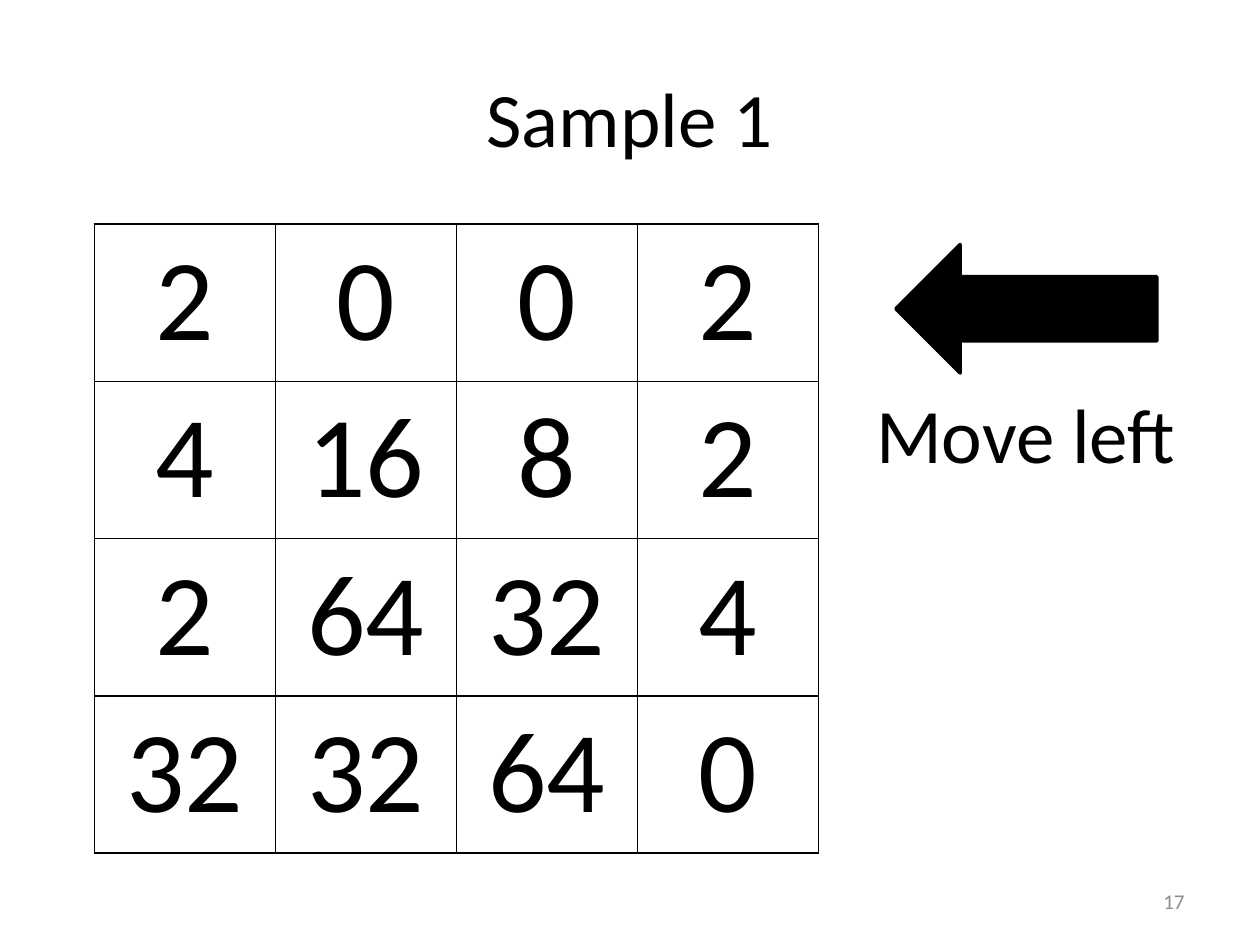
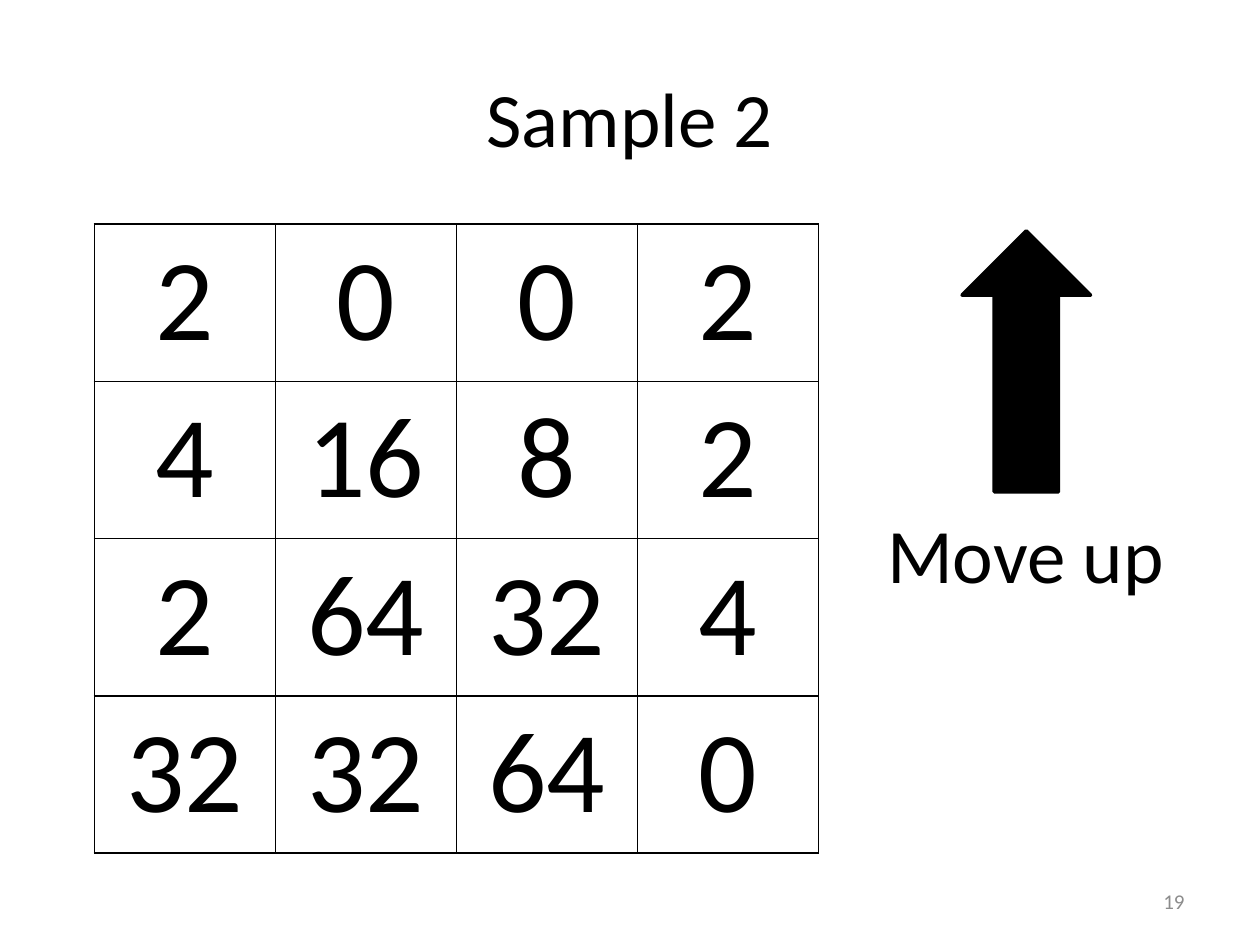
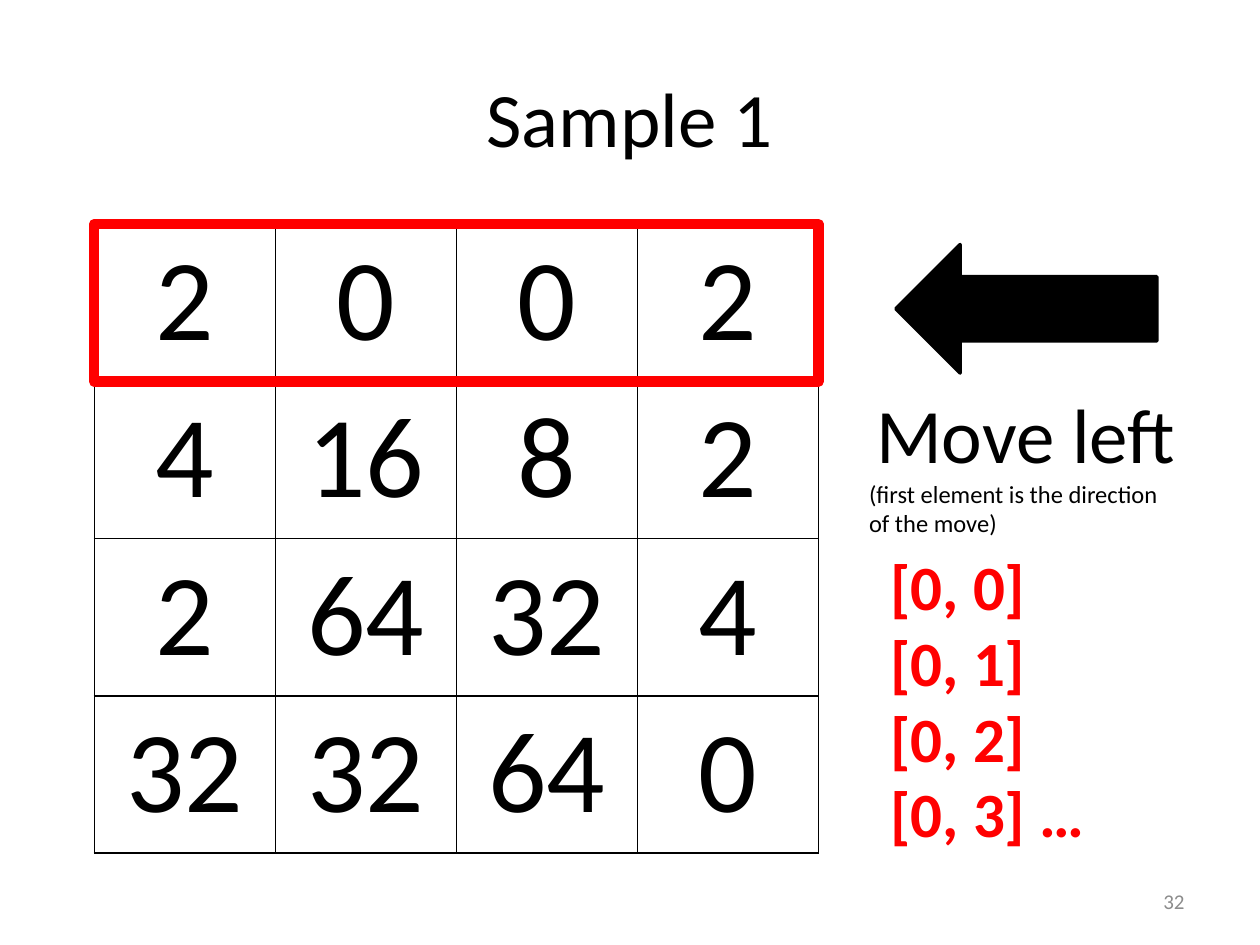
from lxml.etree import SubElement
from pptx import Presentation
from pptx.dml.color import RGBColor
from pptx.enum.shapes import MSO_SHAPE
from pptx.enum.text import MSO_ANCHOR, PP_ALIGN
from pptx.oxml.ns import qn
from pptx.util import Cm, Pt

# Content
BOARD = [
    [2, 0, 0, 2],
    [4, 16, 8, 2],
    [2, 64, 32, 4],
    [32, 32, 64, 0],
]
POSITIONS = ["[0, 0]", "[0, 1]", "[0, 2]", "[0, 3] …"]
NOTE = "(first element is the direction of the move)"
LEFT = dict(move="Move left", rotation=180, arrow_top=4.93, label_top=7.67)
UP = dict(move="Move up", rotation=270, arrow_top=5.99, label_top=10.08)
SLIDES = [
    dict(title="Sample 1", number="17", direction=LEFT, traced=False),
    dict(title="Sample 2", number="19", direction=UP, traced=False),
    dict(title="Sample 1", number="32", direction=LEFT, traced=True),
]

# Shared look
FONT = "Calibri"
BLACK = RGBColor(0, 0, 0)
RED = RGBColor(0xFF, 0, 0)
GRAY = RGBColor(0x8C, 0x8C, 0x8C)
BOARD_LEFT, BOARD_TOP = Cm(1.9), Cm(4.52)
CELL_W, CELL_H = Cm(3.65), Cm(3.17)


def write(tf, *lines, size=44, color=BLACK, bold=False, align=PP_ALIGN.CENTER, more=False):
    """Write one paragraph per line; with more, append to the text already there."""
    for i, line in enumerate(lines):
        p = tf.add_paragraph() if more or i else tf.paragraphs[0]
        p.alignment = align
        r = p.add_run()
        r.text = line
        r.font.name, r.font.size = FONT, Pt(size)
        r.font.bold, r.font.color.rgb = bold, color


def add_text_box(s, left, top, width, height):
    tf = s.shapes.add_textbox(Cm(left), Cm(top), Cm(width), Cm(height)).text_frame
    tf.word_wrap = True
    return tf


def set_borders(cell):
    tc_pr = cell._tc.get_or_add_tcPr()
    for side in ("a:lnL", "a:lnR", "a:lnT", "a:lnB"):
        ln = SubElement(tc_pr, qn(side), w=str(Pt(1)))
        SubElement(SubElement(ln, qn("a:solidFill")), qn("a:srgbClr"), val=str(BLACK))


def add_board(s):
    rows, cols = len(BOARD), len(BOARD[0])
    table = s.shapes.add_table(rows, cols, BOARD_LEFT, BOARD_TOP,
                               cols * CELL_W, rows * CELL_H).table
    table.first_row = table.horz_banding = False
    for i, values in enumerate(BOARD):
        for j, value in enumerate(values):
            cell = table.cell(i, j)
            set_borders(cell)
            cell.fill.background()
            write(cell.text_frame, str(value), size=66)


def add_outlined(s, kind, left, top, width, height, color, weight):
    sp = s.shapes.add_shape(kind, left, top, width, height)
    sp.shadow.inherit = False
    sp.fill.background()
    sp.line.color.rgb, sp.line.width = color, Pt(weight)
    return sp


def add_direction(s, direction, traced):
    label = add_text_box(s, 17.27, direction["label_top"], 6.81, 3.33 if traced else 2.13)
    write(label, direction["move"])
    if traced:
        write(label, NOTE, size=14, align=PP_ALIGN.LEFT, more=True)
    arrow = add_outlined(s, MSO_SHAPE.RIGHT_ARROW, Cm(18.06), Cm(direction["arrow_top"]),
                         Cm(5.26), Cm(2.59), BLACK, 2)
    arrow.fill.solid()
    arrow.fill.fore_color.rgb = BLACK
    arrow.rotation = direction["rotation"]


def add_trace(s):
    write(add_text_box(s, 17.7, 10.92, 6.38, 6.4), *POSITIONS,
          size=36, color=RED, bold=True, align=PP_ALIGN.LEFT)
    add_outlined(s, MSO_SHAPE.RECTANGLE, BOARD_LEFT, BOARD_TOP,
                 len(BOARD[0]) * CELL_W, CELL_H, RED, 6)


def add_slide(prs, title, number, direction, traced):
    s = prs.slides.add_slide(prs.slide_layouts[5])

    # Title
    sp = s.shapes.title
    sp.left, sp.top, sp.width, sp.height = Cm(1.27), Cm(0.76), Cm(22.86), Cm(3.18)
    sp.text_frame.vertical_anchor = MSO_ANCHOR.MIDDLE
    write(sp.text_frame, title)

    # Board and move
    add_board(s)
    add_direction(s, direction, traced)
    if traced:
        add_trace(s)

    # Slide number
    tf = add_text_box(s, 18.21, 17.65, 5.92, 1.02)
    tf.vertical_anchor = MSO_ANCHOR.MIDDLE
    write(tf, number, size=12, color=GRAY, align=PP_ALIGN.RIGHT)


def main():
    prs = Presentation()
    prs.slide_width, prs.slide_height = Cm(25.4), Cm(19.05)
    for content in SLIDES:
        add_slide(prs, **content)
    prs.save("out.pptx")


if __name__ == "__main__":
    main()
